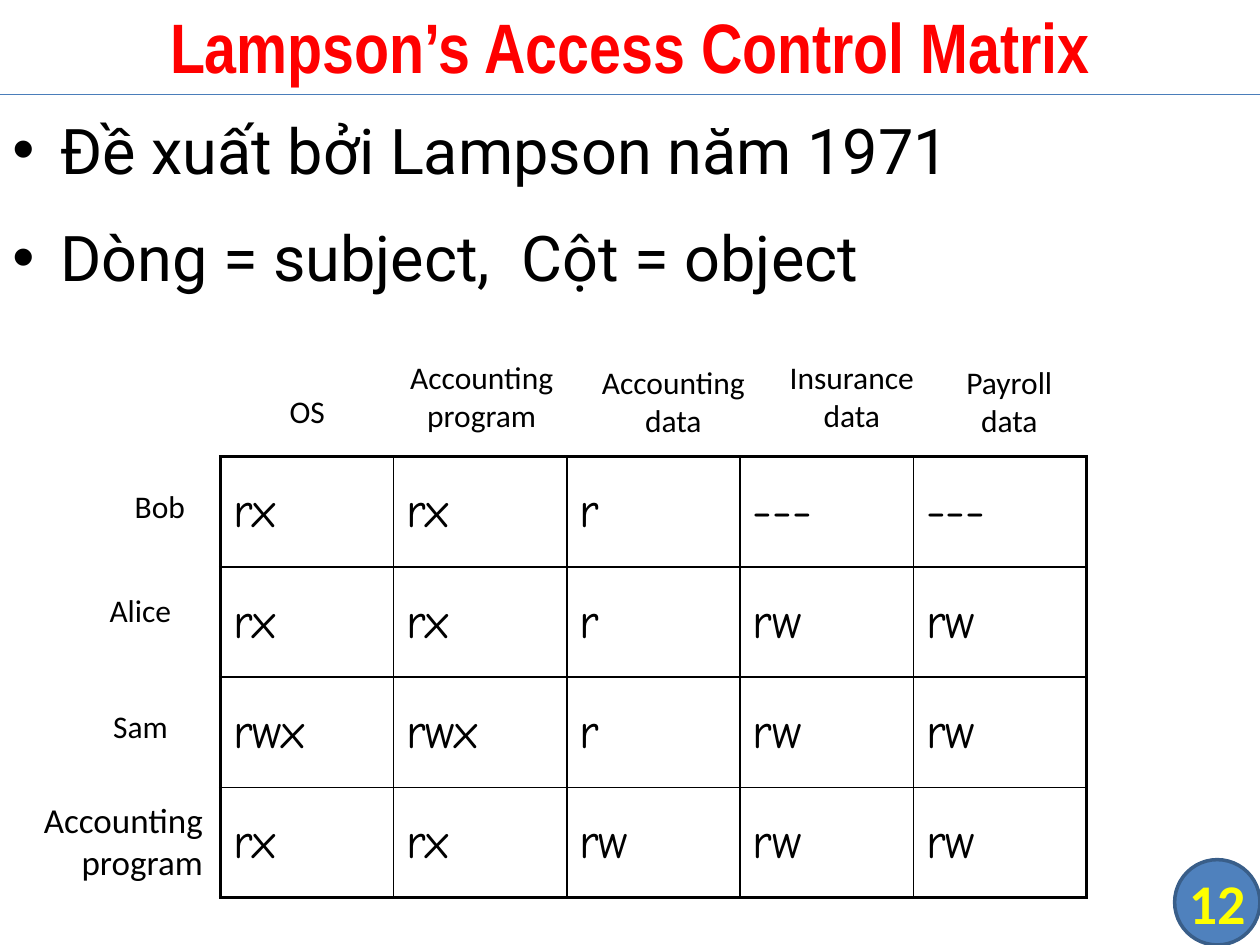
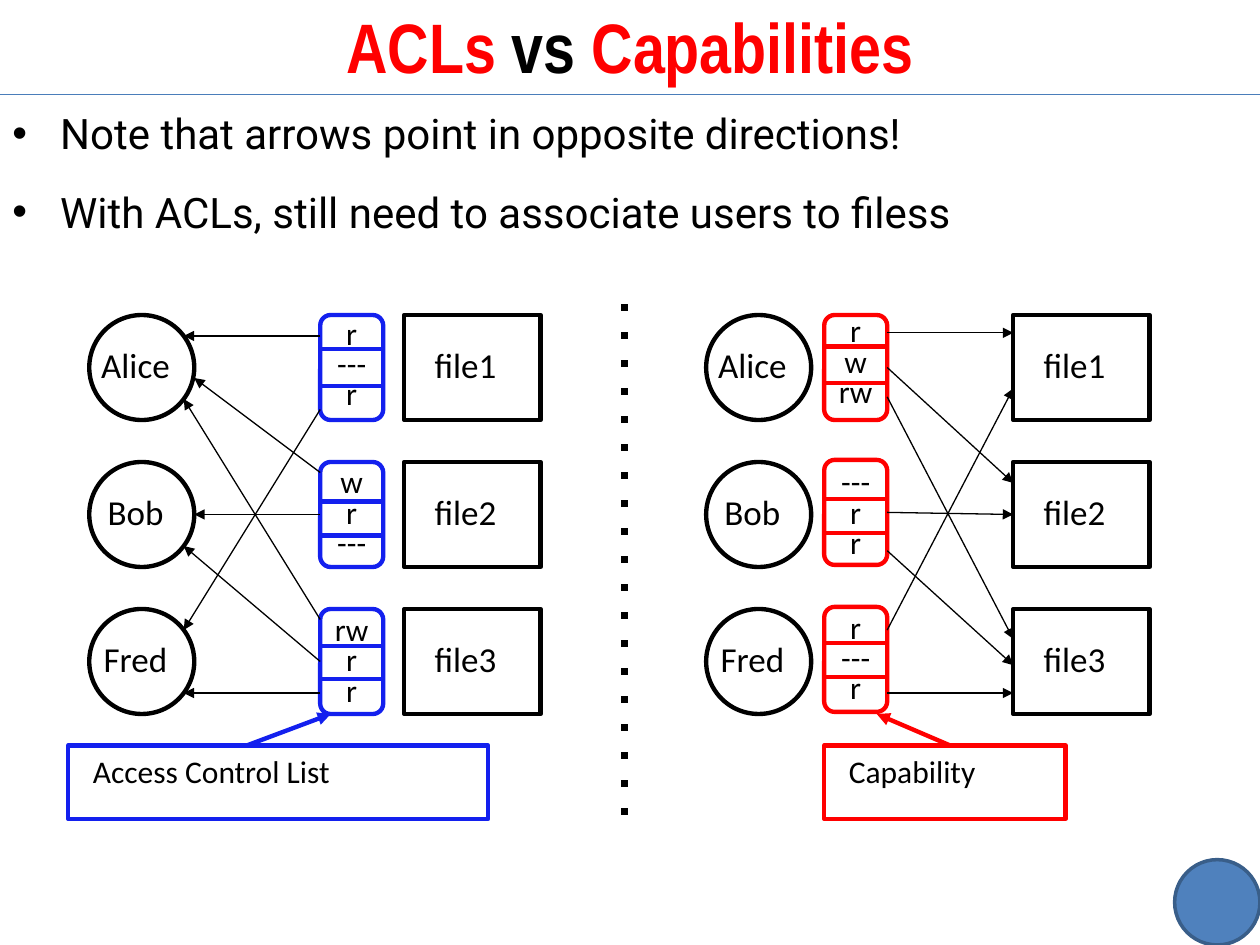
from lxml import etree
from pptx import Presentation
from pptx.dml.color import RGBColor
from pptx.enum.shapes import MSO_CONNECTOR, MSO_SHAPE
from pptx.enum.text import MSO_ANCHOR, PP_ALIGN
from pptx.oxml.ns import qn
from pptx.util import Emu, Inches, Pt

LEFT, CENTER, RIGHT = PP_ALIGN.LEFT, PP_ALIGN.CENTER, PP_ALIGN.RIGHT
TOP, MIDDLE = MSO_ANCHOR.TOP, MSO_ANCHOR.MIDDLE
RECTANGLE, ROUNDED = MSO_SHAPE.RECTANGLE, MSO_SHAPE.ROUNDED_RECTANGLE
ELLIPSE, BADGE = MSO_SHAPE.OVAL, MSO_SHAPE.FLOWCHART_CONNECTOR
STRAIGHT = MSO_CONNECTOR.STRAIGHT
TOP_SIDE, LEFT_SIDE, BOTTOM_SIDE, RIGHT_SIDE = range(4)

# All lengths are columns and rows of a grid with 24 cells to the inch.
CELL = Inches(1) // 24
COLUMNS, ROWS = 240, 180
HEADER_ROWS = 18
SIDE_INSET, TOP_INSET = 2.4, 1.2
INSETS = (SIDE_INSET, TOP_INSET, SIDE_INSET, TOP_INSET)

BLACK, RED, BLUE, YELLOW = "000000", "FF0000", "1320EE", "FFFF00"
BADGE_FILL, BADGE_LINE, RULE = "4F81BD", "395E89", "4A7DBA"
TITLE_FONT, BODY_FONT = "Arial Narrow", "Roboto"
LABEL_FONT, MATRIX_FONT = "Calibri", "Comic Neue"
OUTLINE, THIN = 2.5, 0.75

# Access lists, diagram
NODE = 20
NODE_PITCH = 28
LIST_WIDTH = 12
FILE_WIDTH = 26


def grid(*cells):
    return [Emu(round(cell * CELL)) for cell in cells]


def rgb(color):
    return RGBColor.from_string(color)


def set_font(font, name, size, color=BLACK, bold=False):
    font.name, font.size, font.bold = name, Pt(size), bold
    font.color.rgb = rgb(color)


def write(frame, lines, size, color=BLACK, bold=False, align=LEFT, anchor=TOP,
          insets=INSETS, wrap=True, spacing=None, font=LABEL_FONT):
    """Fill a text frame, one paragraph for each line."""
    frame.word_wrap = wrap
    frame.vertical_anchor = anchor
    (frame.margin_left, frame.margin_top,
     frame.margin_right, frame.margin_bottom) = grid(*insets)
    for index, line in enumerate(lines):
        paragraph = frame.add_paragraph() if index else frame.paragraphs[0]
        paragraph.add_run().text = line
        paragraph.alignment = align
        if spacing:
            paragraph.line_spacing = spacing
        set_font(paragraph.font, font, size, color, bold)


def add_label(slide, box, lines, size, **style):
    frame = slide.shapes.add_textbox(*grid(*box)).text_frame
    write(frame, lines, size, **style)
    return frame


def add_outline(slide, kind, box, color, width=OUTLINE, fill=None):
    shape = slide.shapes.add_shape(kind, *grid(*box))
    shape.shadow.inherit = False
    if fill:
        shape.fill.solid()
        shape.fill.fore_color.rgb = rgb(fill)
    else:
        shape.fill.background()
    shape.line.color.rgb = rgb(color)
    shape.line.width = Pt(width)
    return shape


def add_line(slide, start, end, color, width, arrow=False, dash=None):
    line = slide.shapes.add_connector(STRAIGHT, *grid(*start, *end))
    line.line.color.rgb = rgb(color)
    line.line.width = Pt(width)
    outline = line.line._get_or_add_ln()
    if dash:
        etree.SubElement(outline, qn("a:prstDash"), val=dash)
    if arrow:
        etree.SubElement(outline, qn("a:tailEnd"), type="triangle")
    etree.SubElement(line._element.spPr, qn("a:effectLst"))
    return line


def add_frame(slide, title, number=None):
    """Draw the title, the rule below it and the badge in the corner."""
    size = 16.25
    badge = add_outline(slide, BADGE, (COLUMNS - size, ROWS - size, size, size),
                        BADGE_LINE, 2, BADGE_FILL)
    if number:
        write(badge.text_frame, [number], 32, YELLOW, True, CENTER, MIDDLE,
              (0, 0, 0, 0), wrap=False)
    add_line(slide, (0, HEADER_ROWS), (COLUMNS, HEADER_ROWS), RULE, THIN)
    frame = add_label(slide, (0, -0.7, COLUMNS, HEADER_ROWS + 0.7), [], 40,
                      anchor=MIDDLE)
    heading = frame.paragraphs[0]
    heading.alignment = CENTER
    set_font(heading.font, TITLE_FONT, 40, RED, True)
    for text, color in title:
        run = heading.add_run()
        run.text = text
        run.font.color.rgb = rgb(color)


def add_bullets(slide, lines, size):
    box = (0, HEADER_ROWS, COLUMNS, ROWS - HEADER_ROWS)
    frame = add_label(slide, box, lines, size, font=BODY_FONT, spacing=1.14)
    indent = Inches(0.38)
    for index, paragraph in enumerate(frame.paragraphs):
        if index:
            paragraph.space_before = Pt(12)
        properties = paragraph._p.get_or_add_pPr()
        properties.set("marL", str(indent))
        properties.set("indent", str(-indent))
        defaults = properties.find(qn("a:defRPr"))
        for tag, attribute, value in (("a:buFont", "typeface", "Arial"),
                                      ("a:buChar", "char", "•")):
            bullet = etree.Element(qn(tag))
            bullet.set(attribute, value)
            defaults.addprevious(bullet)


def set_borders(cell, widths):
    """Set black borders, widths in the order left, right, top, bottom."""
    properties = cell._tc.get_or_add_tcPr()
    for index, (side, width) in enumerate(zip("LRTB", widths)):
        border = etree.Element(qn(f"a:ln{side}"), w=str(Pt(width)))
        fill = etree.SubElement(border, qn("a:solidFill"))
        etree.SubElement(fill, qn("a:srgbClr"), val=BLACK)
        properties.insert(index, border)


def add_matrix(slide, left, top, rights, column_width, row_height):
    rows, columns = len(rights), len(rights[0])
    table = slide.shapes.add_table(
        rows, columns,
        *grid(left, top, columns * column_width, rows * row_height)).table
    table.first_row = table.horz_banding = False
    for column in table.columns:
        column.width = grid(column_width)[0]
    for row in table.rows:
        row.height = grid(row_height)[0]
    for r, row_rights in enumerate(rights):
        for c, right in enumerate(row_rights):
            cell = table.cell(r, c)
            cell.fill.background()
            cell.vertical_anchor = MIDDLE
            cell.text = right
            set_font(cell.text_frame.paragraphs[0].font, MATRIX_FONT, 28)
            outer = (c == 0, c == columns - 1, r == 0, r == rows - 1)
            set_borders(cell, [2.25 if edge else 1 for edge in outer])


def build_matrix_slide(slide):
    add_frame(slide, [("Lampson’s Access Control Matrix", RED)], "12")
    add_bullets(slide, ["Đề xuất bởi Lampson năm 1971",
                        "Dòng = subject,  Cột = object"], 36)
    left, top = 42, 87
    add_matrix(slide, left, top, [
        ["rx", "rx", "r", "---", "---"],
        ["rx", "rx", "r", "rw", "rw"],
        ["rwx", "rwx", "r", "rw", "rw"],
        ["rx", "rx", "rw", "rw", "rw"],
    ], column_width=33, row_height=21)
    objects = [
        (8, -13.5, 17, ["OS"]),
        (32, -20, 35.5, ["Accounting", "program"]),
        (68.5, -19, 35.5, ["Accounting", "data"]),
        (104, -20, 32.5, ["Insurance", "data"]),
        (138.5, -19, 23.5, ["Payroll", "data"]),
    ]
    for x, y, width, lines in objects:
        add_label(slide, (left + x, top + y, width, 19), lines, 18, align=CENTER)
    subjects = [
        (-18.7, 4.5, 18.7, ["Bob"], 18, LEFT),
        (-23.5, 24.4, 23.5, ["Alice"], 18, LEFT),
        (-22.8, 46.5, 20.6, ["Sam"], 18, LEFT),
        (-40, 64, 39, ["Accounting", "program"], 20, RIGHT),
    ]
    for x, y, width, lines, size, align in subjects:
        add_label(slide, (left + x, top + y, width, 14), lines, size, align=align)


def add_access_panel(slide, left, top, list_x, file_x, color, lists):
    """Draw users, their access lists and files; return lists and files."""
    list_shapes, file_shapes = [], []
    for row, user in enumerate(["Alice", "Bob", "Fred"]):
        y = top + row * NODE_PITCH
        circle = add_outline(slide, ELLIPSE, (left, y, NODE, NODE), BLACK)
        write(circle.text_frame, [user], 20, align=CENTER, anchor=MIDDLE,
              insets=(0, 0, SIDE_INSET, TOP_INSET), wrap=False)
        file = add_outline(slide, RECTANGLE,
                           (left + file_x, y, FILE_WIDTH, NODE), BLACK)
        write(file.text_frame, [f"file{row + 1}"], 20, anchor=MIDDLE,
              insets=(5.8, 0, 0, TOP_INSET))
        file_shapes.append(file)
    for list_top, inset, rights, dividers in lists:
        x, y = left + list_x, top + list_top
        shape = add_outline(slide, ROUNDED, (x, y, LIST_WIDTH, NODE), color)
        write(shape.text_frame, rights, 18, align=CENTER, spacing=0.8,
              insets=(0, inset, 0, 0))
        list_shapes.append(shape)
        for divider in dividers:
            add_line(slide, (x, top + divider), (x + LIST_WIDTH, top + divider),
                     color, OUTLINE)
    return list_shapes, file_shapes


def add_access_arrows(slide, left, top, arrows):
    return [add_line(slide, (left + x1, top + y1), (left + x2, top + y2),
                     BLACK, THIN, arrow=True)
            for x1, y1, x2, y2 in arrows]


def add_callout(slide, box, text, color, tail, tip):
    shape = add_outline(slide, RECTANGLE, box, color)
    write(shape.text_frame, [text], 18, insets=(4.7, TOP_INSET, 0, 0))
    add_line(slide, tail, tip, color, OUTLINE, arrow=True)


def build_comparison_slide(slide):
    add_frame(slide, [("ACLs ", RED), ("vs ", BLACK), ("Capabilities", RED)])
    add_bullets(slide, ["Note that arrows point in opposite directions!",
                        "With ACLs, still need to associate users to filess"], 24)
    top, callout_top, callout_height = 60, 142, 14
    add_line(slide, (119, 58), (119, 158), BLACK, 4, dash="dot")

    left, list_x = 17, 44
    lists, _ = add_access_panel(slide, left, top, list_x, 60, BLUE, [
        (0, 0.6, ["r", "---", "r"], (6.5, 13.5)),
        (28, 0.9, ["w", "r", "---"], (35.5, 42)),
        (56, 1, ["rw", "r", "r"], (63, 69.4)),
    ])
    links = [(4, 18, 4), (18, 18, 60), (30, 20, 12), (38, 20, 38),
             (58, 18, 16), (66, 18, 44), (72, 18, 72)]
    arrows = add_access_arrows(slide, left, top,
                               [(list_x, *link) for link in links])
    arrows[3].begin_connect(lists[1], LEFT_SIDE)
    add_callout(slide, (13, callout_top, 80, callout_height),
                "Access Control List", BLUE, (47, callout_top), (63, 136))

    left, list_x, file_x = 134.5, 22.5, 58.5
    lists, files = add_access_panel(slide, left, top, list_x, file_x, RED, [
        (0, 0.1, ["r", "w", "rw"], (6, 13)),
        (27.6, 1.3, ["---", "r", "r"], (35, 41.5)),
        (55.6, 1, ["r", "---", "r"], (62.5, 69)),
    ])
    links = [(3.4, 3.4), (10, 32), (15.6, 61.7), (38, 38),
             (44.9, 66.7), (60, 14), (72, 72)]
    arrows = add_access_arrows(
        slide, left, top,
        [(list_x + LIST_WIDTH, start, file_x, end) for start, end in links])
    arrows[3].begin_connect(lists[1], RIGHT_SIDE)
    arrows[3].end_connect(files[1], LEFT_SIDE)
    add_callout(slide, (157, callout_top, 46, callout_height),
                "Capability", RED, (181, callout_top), (167, 136))


def main():
    presentation = Presentation()
    presentation.slide_width, presentation.slide_height = grid(COLUMNS, ROWS)
    blank = presentation.slide_layouts[6]
    for build in (build_matrix_slide, build_comparison_slide):
        build(presentation.slides.add_slide(blank))
    presentation.save("out.pptx")


if __name__ == "__main__":
    main()
